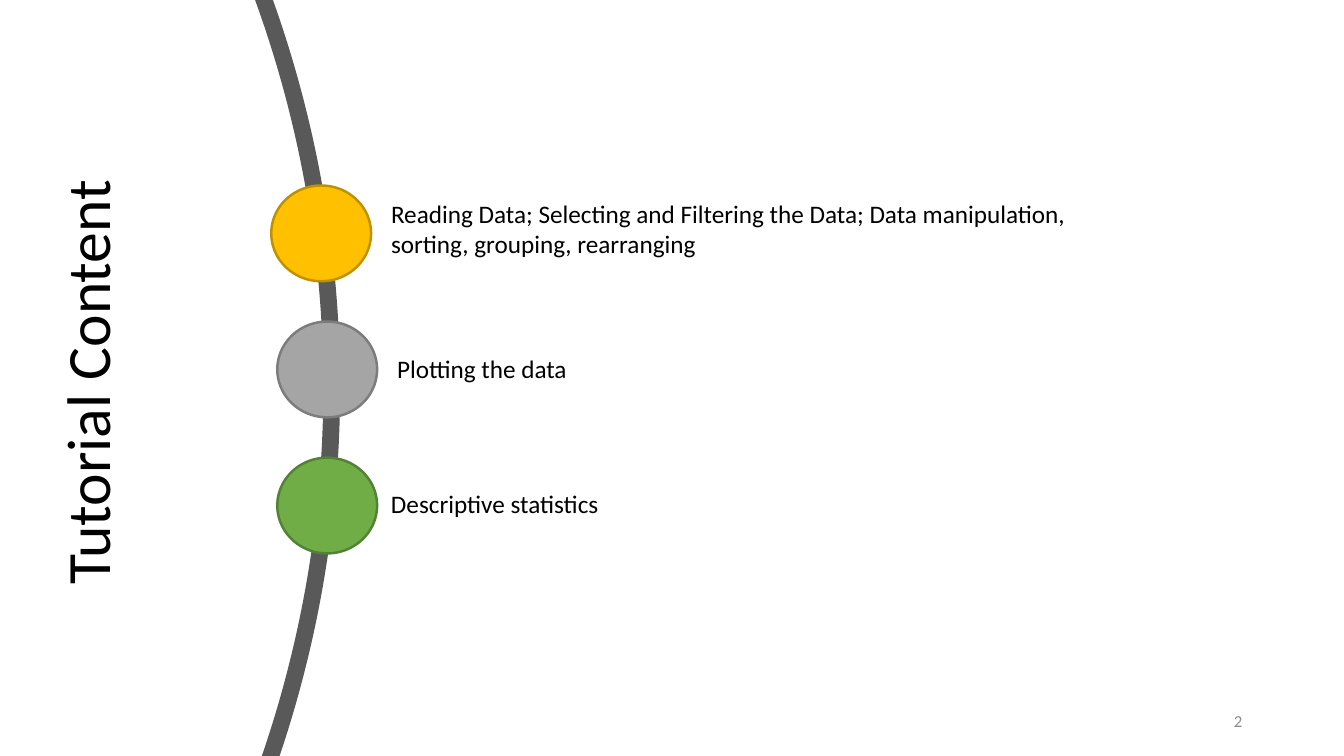
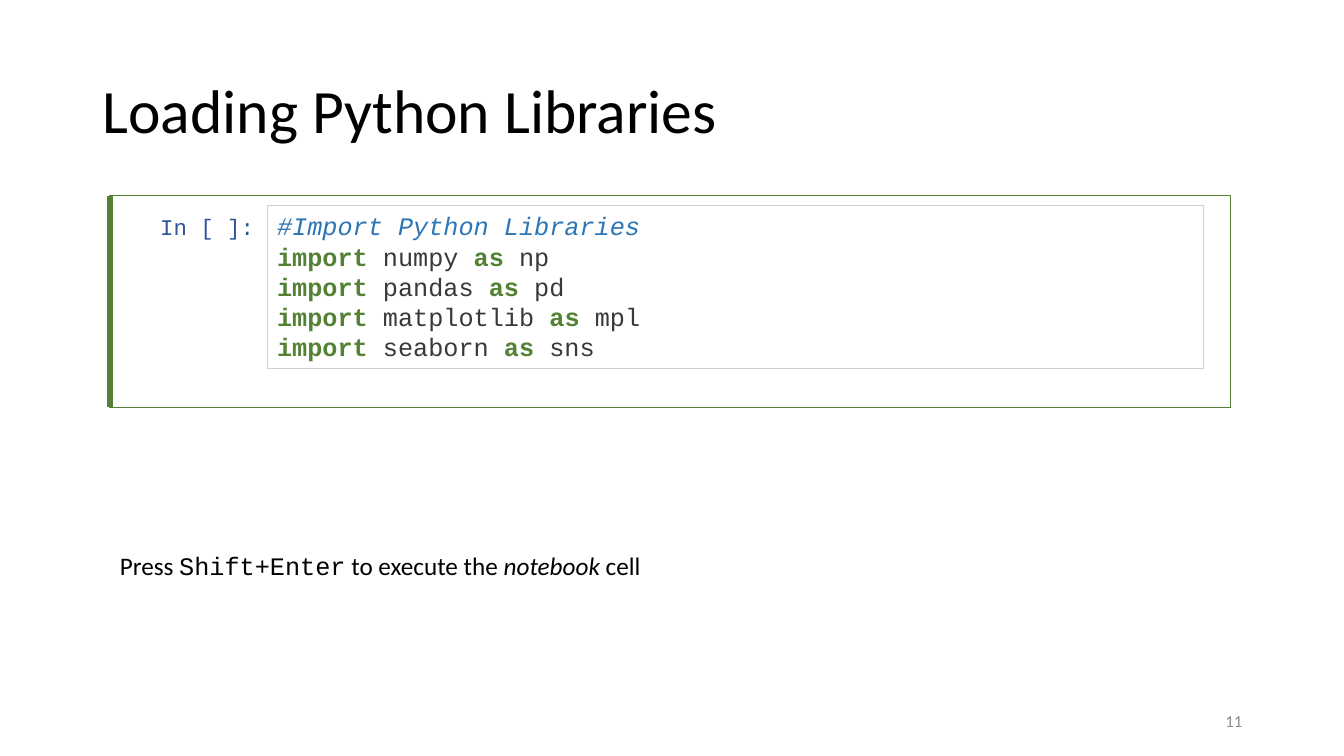
import pptx
import pptx.util
import pptx.dml.color
import pptx.enum.shapes
import pptx.enum.text
import pptx.oxml.ns
import lxml.etree

Inches = pptx.util.Inches
Pt = pptx.util.Pt
SHAPE = pptx.enum.shapes.MSO_SHAPE
ANCHOR = pptx.enum.text.MSO_ANCHOR
ALIGN = pptx.enum.text.PP_ALIGN


# Theme: colours, fonts and type styles shared by the slides
class Theme:
    ARC = "595959"
    GREEN = "548235"
    CELL_BORDER = "D0CECE"
    BODY = {"name": "Calibri", "size": 18, "color": "000000"}
    TITLE = {**BODY, "size": 44}
    NUMBER = {**BODY, "size": 12, "color": "8C8C8C"}
    MONO = {**BODY, "name": "Courier New"}
    ITALIC = {**BODY, "italic": True}
    PROMPT = {**MONO, "size": 16, "color": "2F5597"}
    CODE = {**MONO, "color": "3B3838"}
    COMMENT = {**MONO, "color": "2E75B6", "italic": True}
    KEYWORD = {**MONO, "color": GREEN, "bold": True}


# Content
TOPICS = [
    # text, text left, text top, text width, circle left, fill, outline
    ("Reading Data; Selecting and Filtering the Data; Data manipulation, "
     "sorting, grouping, rearranging", 3.78, 1.92, 7.69, 2.69, "FFC000", "BF9000"),
    ("Plotting the data", 3.84, 3.46, 5.77, 2.75, "A5A5A5", "7C7C7C"),
    ("Descriptive statistics", 3.78, 4.8, 5.77, 2.75, "70AD47", Theme.GREEN),
]
LIBRARIES = [("numpy", "np"), ("pandas", "pd"), ("matplotlib", "mpl"), ("seaborn", "sns")]
HINT = [("Press ", Theme.BODY), ("Shift+Enter", Theme.MONO),
        (" to execute the ", Theme.BODY), ("notebook", Theme.ITALIC), (" cell", Theme.BODY)]

# Geometry in inches
TITLE_BOX = (0.92, 0.4, 11.5, 1.45)
SIDE_TITLE_BOX = (-2.15, 2.13, 6.09, 1.45)
NUMBER_BOX = (9.42, 6.95, 3, 0.4)
ARC_BOX = (-19.38, -7.49, 22.67, 22.67)
CIRCLE_TOP, CIRCLE_STEP, CIRCLE_SIZE = 1.84, 1.35, (0.99, 0.95)
CELL_BOX = (1.09, 1.94, 11.11, 2.1)
CODE_BOX = (2.65, 2.04, 9.29, 1.62)
PROMPT_BOX = (1.49, 2.07, 1.18, 0.4)
HINT_BOX = (1.09, 5.41, 9.34, 0.4)


# Helpers
def rgb(value):
    return pptx.dml.color.RGBColor.from_string(value)


def write(shape, paragraphs, anchor=ANCHOR.TOP, align=ALIGN.LEFT, spacing=1.0):
    """Fill a shape with paragraphs, each a list of (text, style) pairs."""
    frame = shape.text_frame
    frame.word_wrap = True
    frame.vertical_anchor = anchor
    for index, spans in enumerate(paragraphs):
        para = frame.add_paragraph() if index else frame.paragraphs[0]
        para.alignment = align
        para.line_spacing = spacing
        for text, style in spans:
            span = para.add_run()
            span.text = text
            for key, value in style.items():
                if key == "color":
                    span.font.color.rgb = rgb(value)
                else:
                    setattr(span.font, key, Pt(value) if key == "size" else value)


def add_text(page, place, paragraphs, **layout):
    box = page.shapes.add_textbox(*map(Inches, place))
    write(box, paragraphs, **layout)
    return box


def add_outline(page, kind, place, line, width, fill=None):
    shape = page.shapes.add_shape(kind, *map(Inches, place))
    shape.shadow.inherit = False
    if fill:
        shape.fill.solid()
        shape.fill.fore_color.rgb = rgb(fill)
    else:
        shape.fill.background()
    shape.line.color.rgb = rgb(line)
    shape.line.width = Pt(width)
    return shape


def add_line(page, start, end, color, width):
    line = page.shapes.add_connector(
        pptx.enum.shapes.MSO_CONNECTOR.STRAIGHT, *map(Inches, start + end))
    line.line.color.rgb = rgb(color)
    line.line.width = Pt(width)
    properties = line._element.spPr
    lxml.etree.SubElement(properties, pptx.oxml.ns.qn("a:effectLst"))


def add_page(deck, title, number, title_box=TITLE_BOX, rotation=0):
    page = deck.slides.add_slide(deck.slide_layouts[6])
    heading = add_text(page, title_box, [[(title, Theme.TITLE)]],
                       anchor=ANCHOR.MIDDLE, spacing=0.9)
    heading.rotation = rotation
    add_text(page, NUMBER_BOX, [[(number, Theme.NUMBER)]],
             anchor=ANCHOR.MIDDLE, align=ALIGN.RIGHT)
    return page


# Slides
def build_contents(deck):
    page = add_page(deck, "Tutorial Content", "2", SIDE_TITLE_BOX, 270)
    add_outline(page, SHAPE.OVAL, ARC_BOX, Theme.ARC, 12)
    for index, (text, left, top, width, circle_left, fill, line) in enumerate(TOPICS):
        height = 0.71 if index == 0 else 0.4
        add_text(page, (left, top, width, height), [[(text, Theme.BODY)]])
        circle_top = CIRCLE_TOP + index * CIRCLE_STEP
        add_outline(page, SHAPE.OVAL, (circle_left, circle_top, *CIRCLE_SIZE),
                    line, 1.75, fill)


def build_libraries(deck):
    page = add_page(deck, "Loading Python Libraries", "11")
    add_text(page, PROMPT_BOX, [[("In [ ]:", Theme.PROMPT)]])

    # Code cell
    code = [[("#Import Python Libraries", Theme.COMMENT)]]
    for library, alias in LIBRARIES:
        code.append([("import ", Theme.KEYWORD), (library + " ", Theme.CODE),
                     ("as ", Theme.KEYWORD), (alias, Theme.CODE)])
    write(add_outline(page, SHAPE.RECTANGLE, CODE_BOX, Theme.CELL_BORDER, 0.75), code)
    add_outline(page, SHAPE.RECTANGLE, CELL_BOX, Theme.GREEN, 0.75)
    left, top, _, height = CELL_BOX
    add_line(page, (left, top), (left, top + height), Theme.GREEN, 4)

    add_text(page, HINT_BOX, [HINT])


def main():
    deck = pptx.Presentation()
    deck.slide_width, deck.slide_height = Inches(13.33), Inches(7.5)
    build_contents(deck)
    build_libraries(deck)
    deck.save("out.pptx")


if __name__ == "__main__":
    main()
